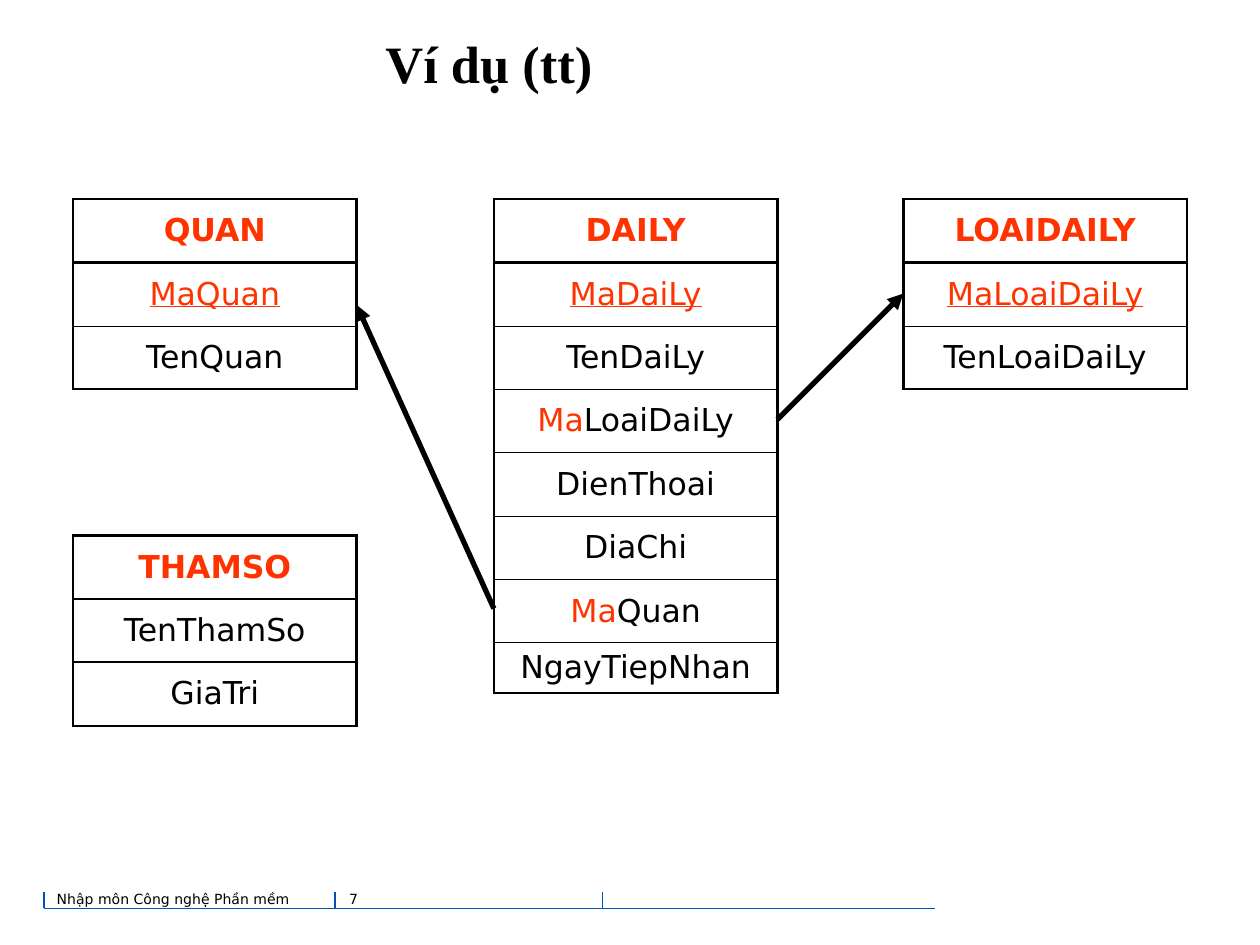
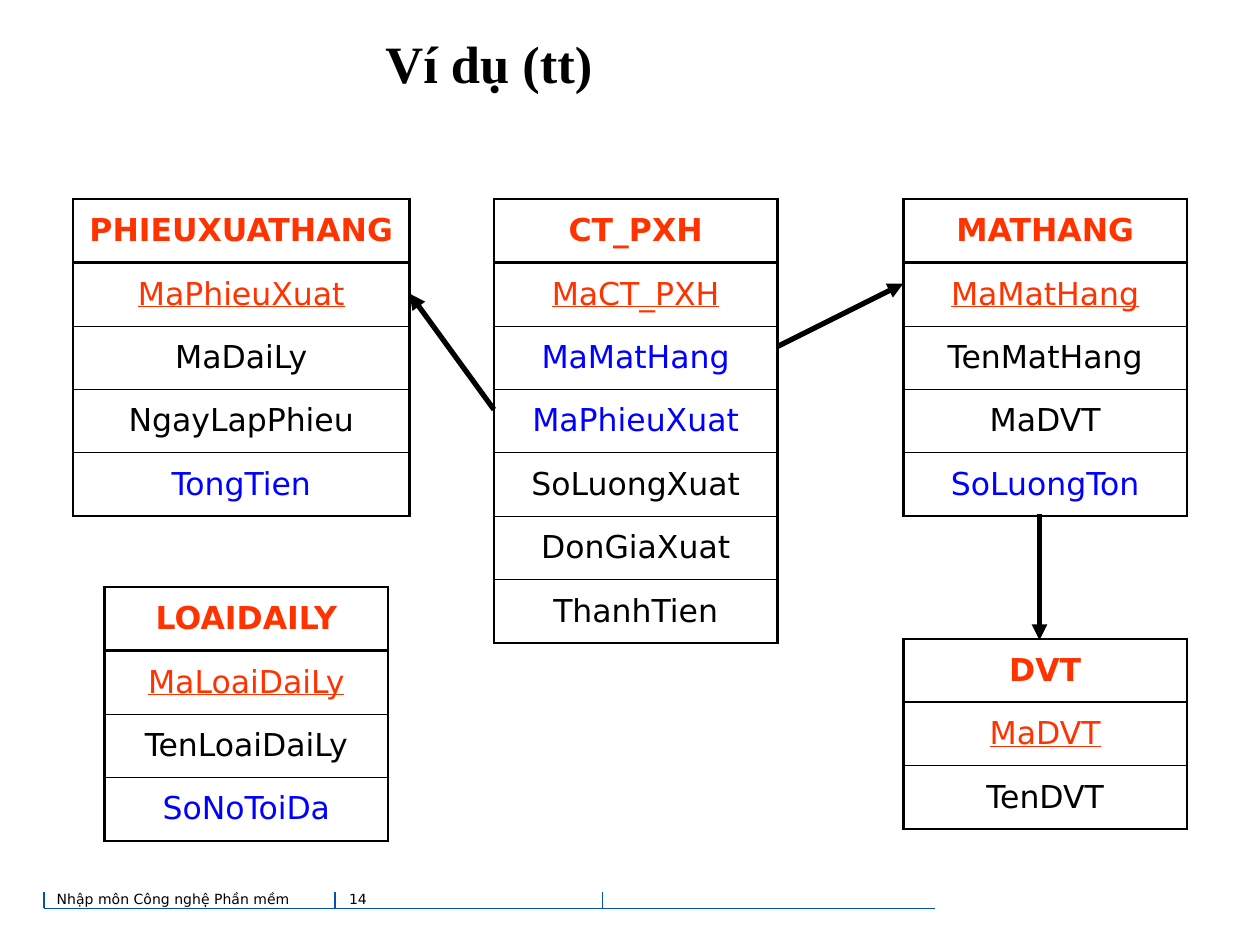
from pptx import Presentation
from pptx.dml.color import RGBColor as RGB
from pptx.enum.shapes import MSO_CONNECTOR as Link
from pptx.enum.text import MSO_ANCHOR as Anchor, PP_ALIGN as Align
from pptx.oxml.ns import qn
from pptx.util import Inches, Pt
from lxml.etree import SubElement as Sub

BLACK = RGB(0x00, 0x00, 0x00)
RED = RGB(0xFF, 0x33, 0x00)
BLUE = RGB(0x00, 0x00, 0xFF)
NAVY = RGB(0x02, 0x51, 0xB8)

FIELD = {"name": "DejaVu Sans", "size": Pt(18), "bold": False, "underline": False, "color": BLACK}
HEAD = FIELD | {"bold": True, "color": RED}
KEY = FIELD | {"underline": True, "color": RED}
PREFIX = FIELD | {"color": RED}
MARK = FIELD | {"color": BLUE}
SMALL = FIELD | {"size": Pt(8)}
TITLE = {"name": "Times New Roman", "size": Pt(30), "bold": True, "color": BLACK}

ROW = Inches(1.51) // 3
THICK, MID, THIN = Pt(1.47), Pt(1.08), Pt(0.45)
TOP, LEFT, CENTER, RIGHT = 1.58, 0.58, 3.92, 7.17


class Deck:
    """Hold the shared style and the slide being drawn."""

    def __init__(self):
        self.prs = Presentation()
        self.prs.slide_width, self.prs.slide_height = Inches(10), Inches(7.5)

    def page(self, title, number):
        self.slide = self.prs.slides.add_slide(self.prs.slide_layouts[6])
        self.line(7.42, 7.21, 0.35, 7.21, NAVY, 0.75)
        for x in (0.35, 2.66, 4.78):
            self.line(x, 7.21, x, 7.08, NAVY, 0.75)
        self.text(0.41, 7.03, 2.19, 0.25, "Nhập môn Công nghệ Phần mềm", SMALL, 0.04)
        self.text(2.73, 7.03, 1.25, 0.25, str(number), SMALL, 0.04)
        self.text(0.17, 0.07, 7.42, 0.85, title, TITLE, 0, Align.CENTER, Anchor.MIDDLE)

    def run(self, para, text, style):
        run = para.add_run()
        run.text = text
        for name, value in style.items():
            if name == "color":
                run.font.color.rgb = value
            else:
                setattr(run.font, name, value)

    def text(self, x, y, w, h, text, style, inset, align=Align.LEFT, anchor=Anchor.TOP):
        frame = self.slide.shapes.add_textbox(*map(Inches, (x, y, w, h))).text_frame
        frame.word_wrap = True
        frame.vertical_anchor = anchor
        for side in ("left", "right", "top", "bottom"):
            setattr(frame, f"margin_{side}", Inches(inset))
        para = frame.paragraphs[0]
        para.alignment = align
        self.run(para, text, style)

    def line(self, x1, y1, x2, y2, color=BLACK, width=3):
        line = self.slide.shapes.add_connector(Link.STRAIGHT, *map(Inches, (x1, y1, x2, y2)))
        line.line.color.rgb = color
        line.line.width = Pt(width)
        Sub(line._element.spPr, qn("a:effectLst"))
        return line

    def arrow(self, x1, y1, x2, y2):
        edge = self.line(x1, y1, x2, y2).line._get_or_add_ln()
        Sub(edge, qn("a:tailEnd"), type="triangle")

    def border(self, cell, above, below):
        props = cell._tc.get_or_add_tcPr()
        for side, width in (("L", THICK), ("R", THICK), ("T", above), ("B", below)):
            edge = Sub(props, qn(f"a:ln{side}"), w=str(width))
            fill = Sub(edge, qn("a:solidFill"))
            Sub(fill, qn("a:srgbClr"), val=str(BLACK))

    def table(self, x, y, name, *fields, width=2.25, last=ROW):
        rows = [[(name, HEAD)], *map(runs, fields)]
        size = len(rows)
        frame = self.slide.shapes.add_table(
            size, 1, Inches(x), Inches(y), Inches(width), ROW * (size - 1) + last)
        table = frame.table
        table.first_row = table.horz_banding = False
        above = THICK
        for i, row in enumerate(rows):
            table.rows[i].height = last if i == size - 1 else ROW
            cell = table.cell(i, 0)
            cell.vertical_anchor = Anchor.MIDDLE
            para = cell.text_frame.paragraphs[0]
            para.alignment = Align.CENTER
            para.space_after = Pt(2.2)
            for text, style in row:
                self.run(para, text, style)
            keyed = rows[1][0][1] is KEY
            below = MID if i == size - 1 else THIN if i and keyed else THICK
            self.border(cell, above, below)
            cell.fill.background()
            above = below


def runs(field):
    return [(field, FIELD)] if isinstance(field, str) else field


def key(name):
    return [(name, KEY)]


def mark(name):
    return [(name, MARK)]


def ref(name):
    return [("Ma", PREFIX), (name, FIELD)]


def main():
    deck = Deck()

    deck.page("Ví dụ (tt)", 7)
    deck.table(CENTER, TOP, "DAILY", key("MaDaiLy"), "TenDaiLy", ref("LoaiDaiLy"), "DienThoai",
               "DiaChi", ref("Quan"), "NgayTiepNhan", last=Inches(0.31))
    deck.table(LEFT, TOP, "QUAN", key("MaQuan"), "TenQuan")
    deck.table(RIGHT, TOP, "LOAIDAILY", key("MaLoaiDaiLy"), "TenLoaiDaiLy")
    deck.arrow(6.17, 3.33, 7.17, 2.33)
    deck.arrow(3.92, 4.83, 2.83, 2.42)
    deck.table(LEFT, 4.25, "THAMSO", "TenThamSo", "GiaTri")

    deck.page("Ví dụ (tt)", 14)
    deck.table(CENTER, TOP, "CT_PXH", key("MaCT_PXH"), mark("MaMatHang"), mark("MaPhieuXuat"),
               "SoLuongXuat", "DonGiaXuat", "ThanhTien")
    deck.table(LEFT, TOP, "PHIEUXUATHANG", key("MaPhieuXuat"), "MaDaiLy", "NgayLapPhieu",
               mark("TongTien"), width=2.67)
    deck.table(RIGHT, TOP, "MATHANG", key("MaMatHang"), "TenMatHang", "MaDVT", mark("SoLuongTon"))
    deck.table(RIGHT, 5.07, "DVT", key("MaDVT"), "TenDVT")
    deck.table(0.83, 4.66, "LOAIDAILY", key("MaLoaiDaiLy"), "TenLoaiDaiLy", mark("SoNoToiDa"))
    deck.arrow(6.17, 2.75, 7.17, 2.25)
    deck.arrow(3.92, 3.25, 3.25, 2.33)
    deck.arrow(8.25, 4.08, 8.25, 5.08)

    deck.prs.save("out.pptx")


if __name__ == "__main__":
    main()
